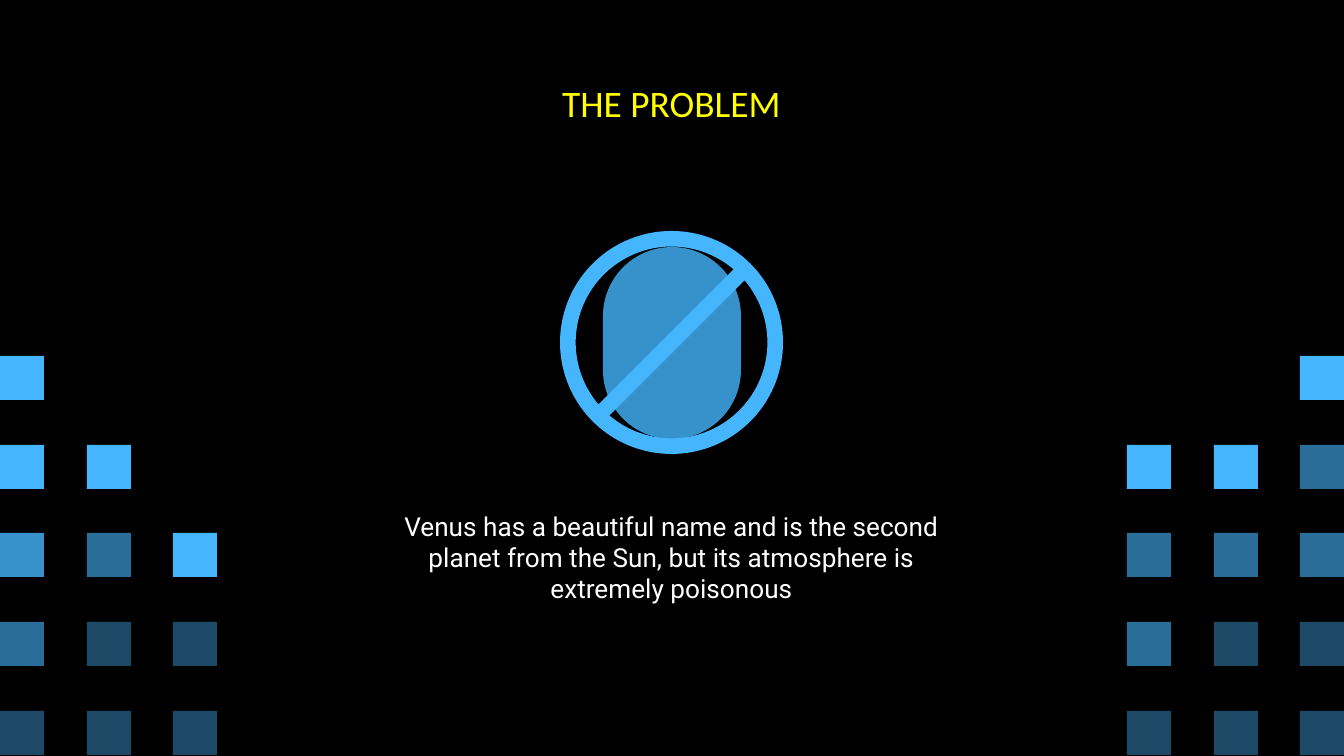
from dataclasses import dataclass

from pptx import Presentation
from pptx.dml.color import RGBColor
from pptx.enum.shapes import MSO_SHAPE
from pptx.enum.text import MSO_ANCHOR, MSO_AUTO_SIZE, PP_ALIGN
from pptx.util import Emu, Pt

RECTANGLE = MSO_SHAPE.RECTANGLE
CAPSULE = MSO_SHAPE.ROUNDED_RECTANGLE
PROHIBITED = MSO_SHAPE.NO_SYMBOL
CENTER = PP_ALIGN.CENTER
TOP, MIDDLE = MSO_ANCHOR.TOP, MSO_ANCHOR.MIDDLE
NO_AUTOFIT = MSO_AUTO_SIZE.NONE

EMU_PER_PX = 914400 / 134.4


@dataclass(frozen=True)
class Theme:
    background: str = "000000"
    title: str = "FFFF00"
    body: str = "FFFFFF"
    bright: str = "45B6FE"
    medium: str = "3792CB"
    deep: str = "296D98"
    dark: str = "1C4966"
    title_font: str = "Calibri"
    body_font: str = "Roboto"
    title_size: int = 20
    body_size: int = 14


def px(value):
    return Emu(round(value * EMU_PER_PX))


def color(value):
    return RGBColor.from_string(value)


class SlideBuilder:
    def __init__(self, slide, theme):
        self.slide = slide
        self.theme = theme

    def background(self):
        fill = self.slide.background.fill
        fill.solid()
        fill.fore_color.rgb = color(self.theme.background)

    def shape(self, kind, box, fill, adjustment=None, rotation=0):
        shape = self.slide.shapes.add_shape(kind, *map(px, box))
        shape.shadow.inherit = False
        shape.fill.solid()
        shape.fill.fore_color.rgb = color(fill)
        shape.line.fill.background()
        shape.rotation = rotation
        if adjustment is not None:
            shape.adjustments[0] = adjustment

    def tile_grid(self, left, top, rows):
        """Draw tiles from rows of fill colours; None leaves a gap."""
        for row, fills in enumerate(rows):
            for column, fill in enumerate(fills):
                if fill:
                    x = left + round(column * 86.6)
                    y = top + round(row * 88.7)
                    self.shape(RECTANGLE, (x, y, 44, 44), fill)

    def placeholder(self, index, box, text, anchor, font_format):
        placeholder = self.slide.placeholders[index]
        left, top, width, height = map(px, box)
        inset = px(13)
        frame = placeholder.text_frame
        frame.text = text
        paragraph = frame.paragraphs[0]
        formats = (
            (placeholder, {"left": left, "top": top,
                           "width": width, "height": height}),
            (frame, {"margin_left": inset, "margin_right": inset,
                     "margin_top": inset, "margin_bottom": inset,
                     "word_wrap": True, "auto_size": NO_AUTOFIT,
                     "vertical_anchor": anchor}),
            (paragraph, {"alignment": CENTER, "space_before": Pt(0)}),
        )
        for target, values in formats:
            for name, value in values.items():
                setattr(target, name, value)
        font = paragraph.runs[0].font
        font.name = font_format["name"]
        font.size = Pt(font_format["size"])
        font.color.rgb = color(font_format["color"])


def main():
    theme = Theme()
    presentation = Presentation()
    presentation.slide_width = px(1344)
    presentation.slide_height = px(756)
    slide = presentation.slides.add_slide(presentation.slide_layouts[0])
    builder = SlideBuilder(slide, theme)
    builder.background()

    # Stepped tiles in the lower corners
    bright, medium, deep, dark = (
        theme.bright, theme.medium, theme.deep, theme.dark)
    builder.tile_grid(0, 356, [
        (bright, None, None),
        (bright, bright, None),
        (medium, deep, bright),
        (deep, dark, dark),
        (dark, dark, dark),
    ])
    builder.tile_grid(1127, 356, [
        (None, None, bright),
        (bright, bright, deep),
        (deep, deep, deep),
        (deep, dark, dark),
        (dark, dark, dark),
    ])

    # Title and message
    builder.placeholder(
        0, (105, 79, 1133, 48), "THE PROBLEM", MIDDLE,
        {"name": theme.title_font, "size": theme.title_size,
         "color": theme.title})
    builder.placeholder(
        1, (387, 497, 569, 133),
        "Venus has a beautiful name and is the second planet from the Sun, "
        "but its atmosphere is extremely poisonous", TOP,
        {"name": theme.body_font, "size": theme.body_size,
         "color": theme.body})

    # Plain figure behind a prohibition sign
    builder.shape(CAPSULE, (603, 247, 138, 192), medium, adjustment=0.5)
    builder.shape(PROHIBITED, (560, 231, 223, 223), bright,
                  adjustment=0.07, rotation=90)

    presentation.save("out.pptx")


if __name__ == "__main__":
    main()
